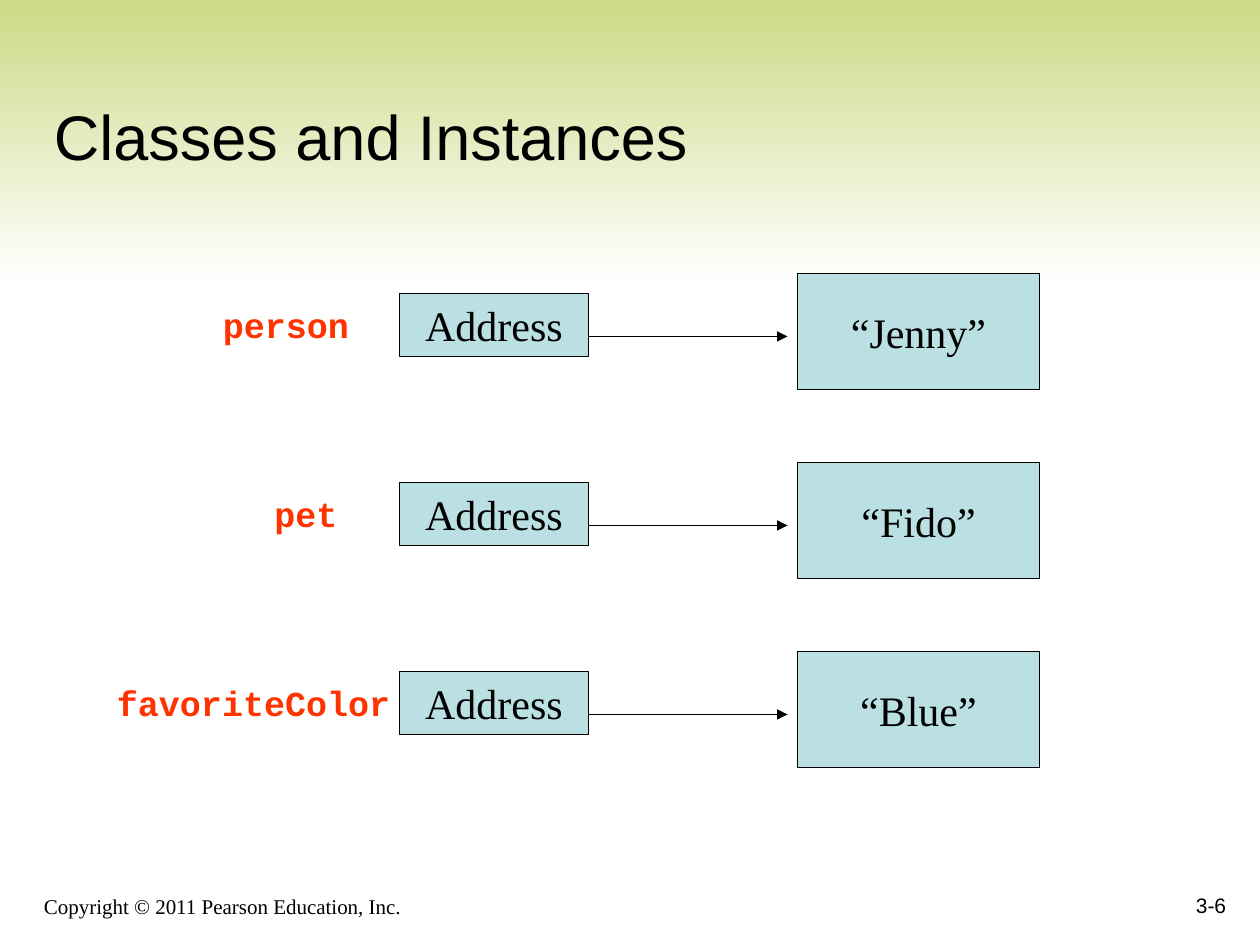
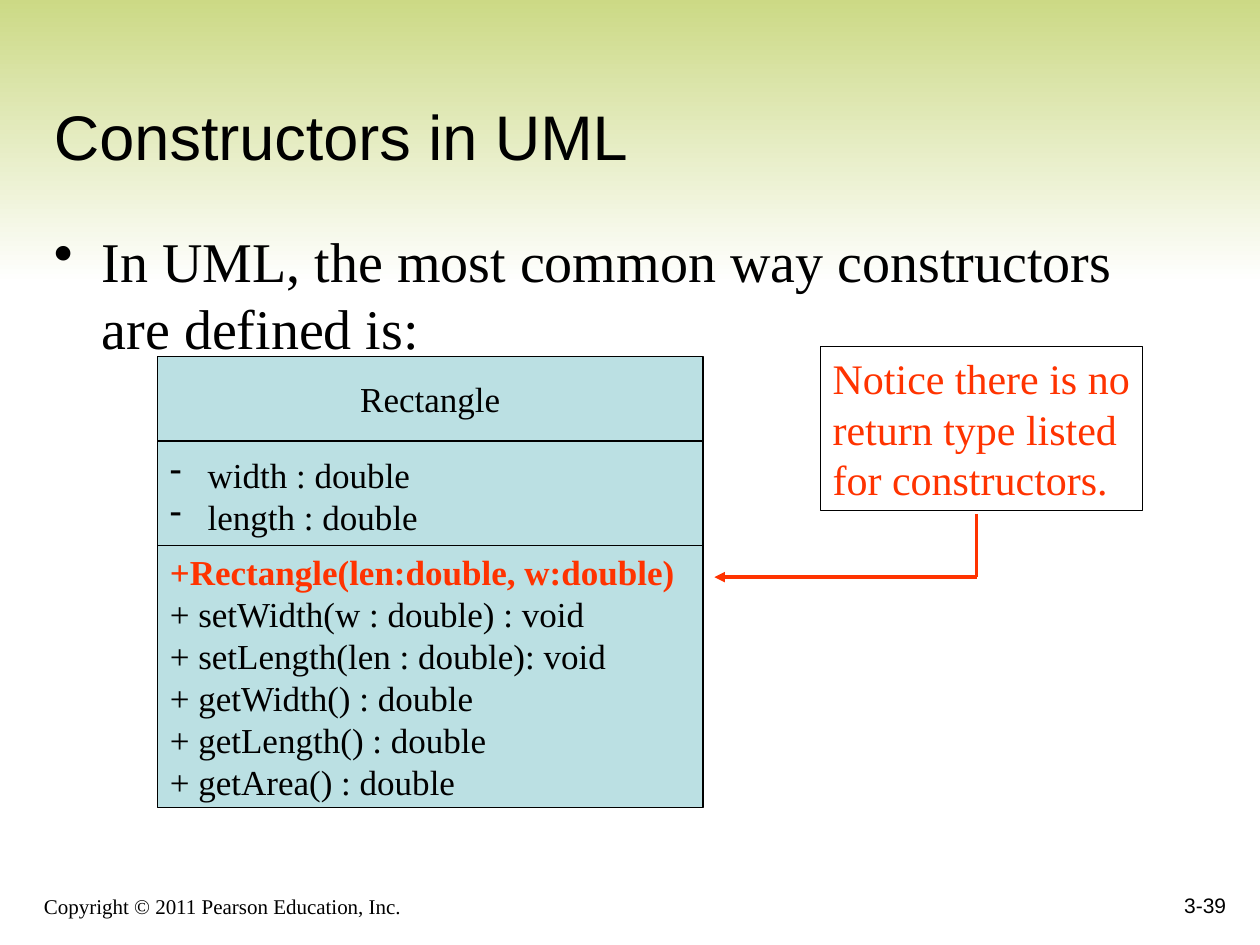
from lxml import etree
from pptx import Presentation
from pptx.dml.color import RGBColor as RGB
from pptx.enum.shapes import MSO_CONNECTOR as Conn, MSO_SHAPE as Shape
from pptx.enum.text import MSO_ANCHOR as Anchor, PP_ALIGN as Align
from pptx.oxml.ns import qn
from pptx.util import Inches, Pt

GREEN = RGB(0xCA, 0xD8, 0x81)
WHITE = RGB(0xFF, 0xFF, 0xFF)
BLACK = RGB(0, 0, 0)
BLUE = RGB(0xBB, 0xE0, 0xE3)
RED = RGB(0xFF, 0x33, 0x00)
SERIF, SANS, MONO = "Times New Roman", "Arial", "Courier New"

COPY = "Copyright © 2011 Pearson Education, Inc."

# label, label left, label width, value
VARS = [
    ("person", 1.67, 1.2, "“Jenny”"),
    ("pet", 2.08, 0.7, "“Fido”"),
    ("favoriteColor", 0.83, 2.37, "“Blue”"),
]
ROW_TOP, ROW_STEP = 2.17, 1.5

INTRO = ["In UML, the most common way constructors are defined is:"]
UML_NAME = ["Rectangle"]
FIELDS = ["width : double", "length : double"]
METHODS = [
    "+Rectangle(len:double, w:double)",
    "+ setWidth(w : double) : void",
    "+ setLength(len : double): void",
    "+ getWidth() : double",
    "+ getLength() : double",
    "+ getArea() : double",
]
NOTE = ["Notice there is no", "return type listed", "for constructors."]
UML_LEFT, UML_WIDTH = 1.25, 4.33


def write(shape, lines, size, font=SERIF, color=BLACK, bold=False,
          align=Align.LEFT, anchor=Anchor.TOP, wrap=True, mark=None, indent=0):
    frame = shape.text_frame
    frame.word_wrap = wrap
    frame.vertical_anchor = anchor
    frame.text = "\n".join(lines)
    for para in frame.paragraphs:
        if mark:
            props = para._p.get_or_add_pPr()
            props.set("marL", str(Inches(indent)))
            props.set("indent", str(-Inches(indent)))
            etree.SubElement(props, qn("a:buChar")).set("char", mark)
        para.alignment = align
        for run in para.runs:
            run.font.size = Pt(size)
            run.font.name = font
            run.font.bold = bold
            run.font.color.rgb = color
    return frame


def add_text(slide, at, lines, size, **style):
    box = slide.shapes.add_textbox(*map(Inches, at))
    return write(box, lines, size, **style)


def add_box(shapes, at, lines, size, fill=BLUE, **style):
    box = shapes.add_shape(Shape.RECTANGLE, *map(Inches, at))
    box.shadow.inherit = False
    if fill is None:
        box.fill.background()
    else:
        box.fill.solid()
        box.fill.fore_color.rgb = fill
    box.line.color.rgb = BLACK
    box.line.width = Pt(0.75)
    return write(box, lines, size, **style)


def add_line(shapes, start, end, color=BLACK, width=0.75, arrow=True):
    line = shapes.add_connector(Conn.STRAIGHT, *map(Inches, start + end))
    line.line.color.rgb = color
    line.line.width = Pt(width)
    if arrow:
        outline = line.line._get_or_add_ln()
        etree.SubElement(outline, qn("a:tailEnd")).set("type", "triangle")
    etree.SubElement(line._element.spPr, qn("a:effectLst"))


def add_slide(deck, title, number):
    """Add a slide with the green band, footer, page number and title."""
    slide = deck.slides.add_slide(deck.slide_layouts[6])
    band = slide.shapes.add_shape(
        Shape.RECTANGLE, *map(Inches, (0, -0.08, 10, 2.33)))
    band.shadow.inherit = False
    band.line.fill.background()
    band.fill.gradient()
    band.fill.gradient_angle = 270
    for stop, color in zip(band.fill.gradient_stops, (GREEN, WHITE)):
        stop.color.rgb = color
    add_text(slide, (0.25, 6.92, 6.08, 0.42), [COPY], 12, anchor=Anchor.BOTTOM)
    add_text(slide, (7.75, 6.83, 2.08, 0.5), [number], 12, font=SANS,
             align=Align.RIGHT, anchor=Anchor.BOTTOM)
    add_text(slide, (0.33, 0.33, 9.42, 1.09), [title], 36, font=SANS,
             anchor=Anchor.BOTTOM)
    return slide


def draw_vars(deck):
    slide = add_slide(deck, "Classes and Instances", "3-6")
    mid = dict(align=Align.CENTER, anchor=Anchor.MIDDLE, wrap=False)
    for row, (name, left, width, value) in enumerate(VARS):
        top = ROW_TOP + row * ROW_STEP
        add_box(slide.shapes, (6.33, top, 1.92, 0.92), [value], 24, **mid)
        add_box(slide.shapes, (3.17, top + 0.16, 1.5, 0.5), ["Address"], 24,
                **mid)
        add_text(slide, (left, top + 0.19, width, 0.44), [name], 20,
                 font=MONO, color=RED, bold=True, wrap=False)
        add_line(slide.shapes, (4.67, top + 0.5), (6.25, top + 0.5))


def draw_uml(deck):
    slide = add_slide(deck, "Constructors in UML", "3-39")
    body = add_text(slide, (0.33, 1.75, 9.07, 5), INTRO, 32,
                    mark="•", indent=0.38)
    body.margin_right = 0

    uml = slide.shapes.add_group_shape().shapes
    parts = [
        (2.83, 0.67, UML_NAME, dict(align=Align.CENTER)),
        (3.5, 0.86, FIELDS, dict(mark="-", indent=0.3)),
        (4.33, 2.08, METHODS, {}),
    ]
    for top, height, lines, style in parts:
        frame = add_box(uml, (UML_LEFT, top, UML_WIDTH, height), lines, 20,
                        anchor=Anchor.MIDDLE, **style)
    maker = frame.paragraphs[0].runs[0].font
    maker.bold = True
    maker.color.rgb = RED

    note = slide.shapes.add_group_shape().shapes
    add_box(note, (6.51, 2.75, 2.56, 1.3), NOTE, 24, fill=None, color=RED,
            wrap=False)
    turn = (7.75, 4.58)
    add_line(note, turn, (5.67, 4.58), RED, 2)
    add_line(note, (7.75, 4.08), turn, RED, 2, arrow=False)


def main():
    deck = Presentation()
    deck.slide_width, deck.slide_height = Inches(10), Inches(7.5)
    draw_vars(deck)
    draw_uml(deck)
    deck.save("out.pptx")


if __name__ == "__main__":
    main()
